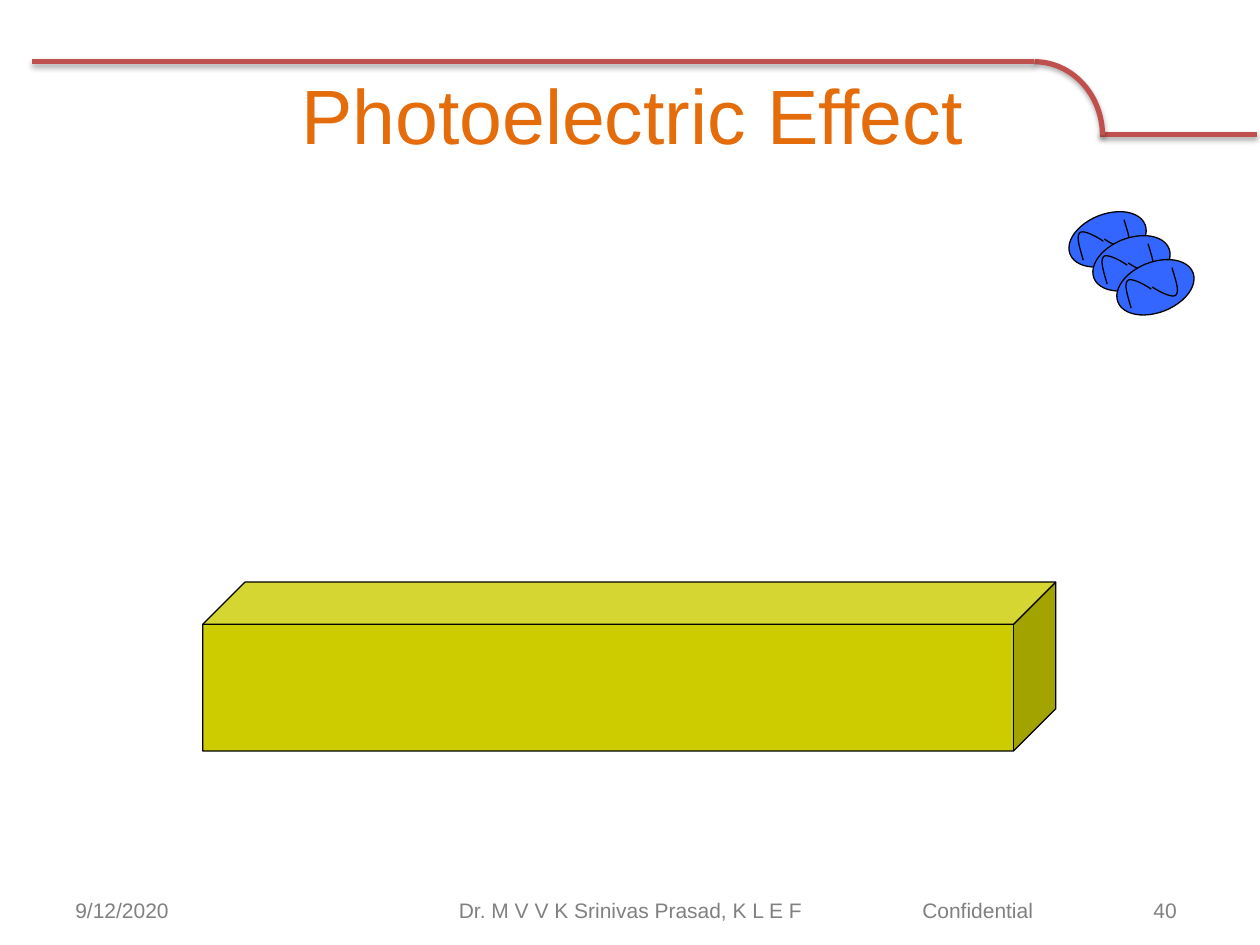
from lxml import etree
from pptx import Presentation, util as u
from pptx.dml.color import RGBColor
from pptx.enum import shapes as sh, text as tx
from pptx.oxml import ns

INK = {"rule": "C0504D", "title": "E46C0A", "foot": "808080",
       "photon": "3366FF", "metal": "CCCC00", "edge": "000000"}
WAVE = [(0, 0.19), (0.09, 0.22), (0.19, 0.23), (0.2, 0.2), (0.22, 0.16), (0.16, 0.08), (0.11, 0)]


class Deck:
    font = "Arial"

    def __init__(self):
        self.prs = Presentation()
        self.prs.slide_width, self.prs.slide_height = u.Inches(10), u.Inches(7.5)
        self.slide = self.prs.slides.add_slide(self.prs.slide_layouts[6])
        self.items = self.slide.shapes

    def stroke(self, item, ink, width, soft=False):
        """Set the line, then an effect list: a soft shadow or none."""
        item.line.color.rgb = RGBColor.from_string(INK[ink])
        item.line.width = u.Pt(width)
        box = etree.SubElement(item._element.spPr, ns.qn("a:effectLst"))
        if soft:
            cast = etree.SubElement(box, ns.qn("a:outerShdw"), blurRad=str(u.Pt(3.1)),
                                    dist=str(u.Pt(1.8)), dir="5400000", rotWithShape="0")
            tint = etree.SubElement(cast, ns.qn("a:srgbClr"), val=INK["edge"])
            etree.SubElement(tint, ns.qn("a:alpha"), val="35000")

    def rule(self, start, end):
        ends = [u.Inches(v) for v in (*start, *end)]
        line = self.items.add_connector(sh.MSO_CONNECTOR.STRAIGHT, *ends)
        self.stroke(line, "rule", 3, soft=True)

    def shape(self, kind, at, fill=None, ink="edge", width=0.75, turn=0, soft=False):
        item = self.items.add_shape(kind, *[u.Inches(v) for v in at])
        item.rotation = turn
        if fill:
            item.fill.solid()
            item.fill.fore_color.rgb = RGBColor.from_string(INK[fill])
        else:
            item.fill.background()
        self.stroke(item, ink, width, soft)

    def curve(self, x, y, nodes, turn):
        """Draw a cubic curve; after the start, each three nodes are two handles and an end."""
        dots = [(u.Inches(x + a), u.Inches(y + b)) for a, b in nodes]
        pen = self.items.build_freeform(*dots[0])
        pen.add_line_segments(dots[1:], close=False)
        item = pen.convert_to_shape()
        legs = list(item._element.iter(ns.qn("a:lnTo")))
        for i in range(0, len(legs), 3):
            bend = etree.Element(ns.qn("a:cubicBezTo"))
            legs[i].addprevious(bend)
            for leg in legs[i:i + 3]:
                bend.append(leg[0])
                leg.getparent().remove(leg)
        item.rotation = turn
        item.fill.background()
        self.stroke(item, "edge", 0.75)

    def photon(self, x, y):
        """Draw a tilted photon centred on x, y, with its wave in two halves."""
        self.shape(sh.MSO_SHAPE.OVAL, (x - 0.2, y - 0.32, 0.4, 0.64), "photon", turn=68.5)
        self.curve(x - 0.27, y - 0.06, WAVE, 196.7)
        self.curve(x - 0.01, y - 0.16, WAVE, 15.8)

    def text(self, at, words, size, ink, align="LEFT", inset=0.1, tab=None):
        box = self.items.add_textbox(*[u.Inches(v) for v in at])
        frame = box.text_frame
        frame.word_wrap = True
        frame.margin_left = u.Inches(inset)
        frame.vertical_anchor = tx.MSO_ANCHOR.MIDDLE
        para = frame.paragraphs[0]
        para.alignment = getattr(tx.PP_ALIGN, align)
        if tab:
            stops = etree.SubElement(para._p.get_or_add_pPr(), ns.qn("a:tabLst"))
            etree.SubElement(stops, ns.qn("a:tab"), pos=str(u.Inches(tab)), algn="r")
        run = para.add_run()
        run.text = words
        run.font.name, run.font.size = self.font, u.Pt(size)
        run.font.color.rgb = RGBColor.from_string(INK[ink])


def main():
    deck = Deck()
    deck.rule((8.73, 1.07), (9.98, 1.07))
    deck.shape(sh.MSO_SHAPE.ARC, (7.67, 0.49, 1.08, 1.17), ink="rule", width=3, soft=True)
    deck.rule((8.21, 0.49), (0.25, 0.49))
    for i in range(3):
        deck.photon(8.79 + 0.19 * i, 1.9 + 0.19 * i)
    deck.text((0.35, 0.28, 9.34, 1.25), "Photoelectric Effect", 44, "title", "CENTER")
    deck.shape(sh.MSO_SHAPE.CUBE, (1.61, 4.62, 6.77, 1.34), "metal")
    deck.text((0.5, 7.02, 2.33, 0.4), "9/12/2020", 12, "foot")
    deck.text((3.42, 7.02, 3.17, 0.4), "Dr. M V V K Srinivas Prasad, K L E F", 12, "foot", "CENTER")
    deck.text((7.17, 7.02, 2.33, 0.4), "Confidential\t40", 12, "foot", inset=0.15, tab=2.02)
    deck.prs.save("out.pptx")


if __name__ == "__main__":
    main()
